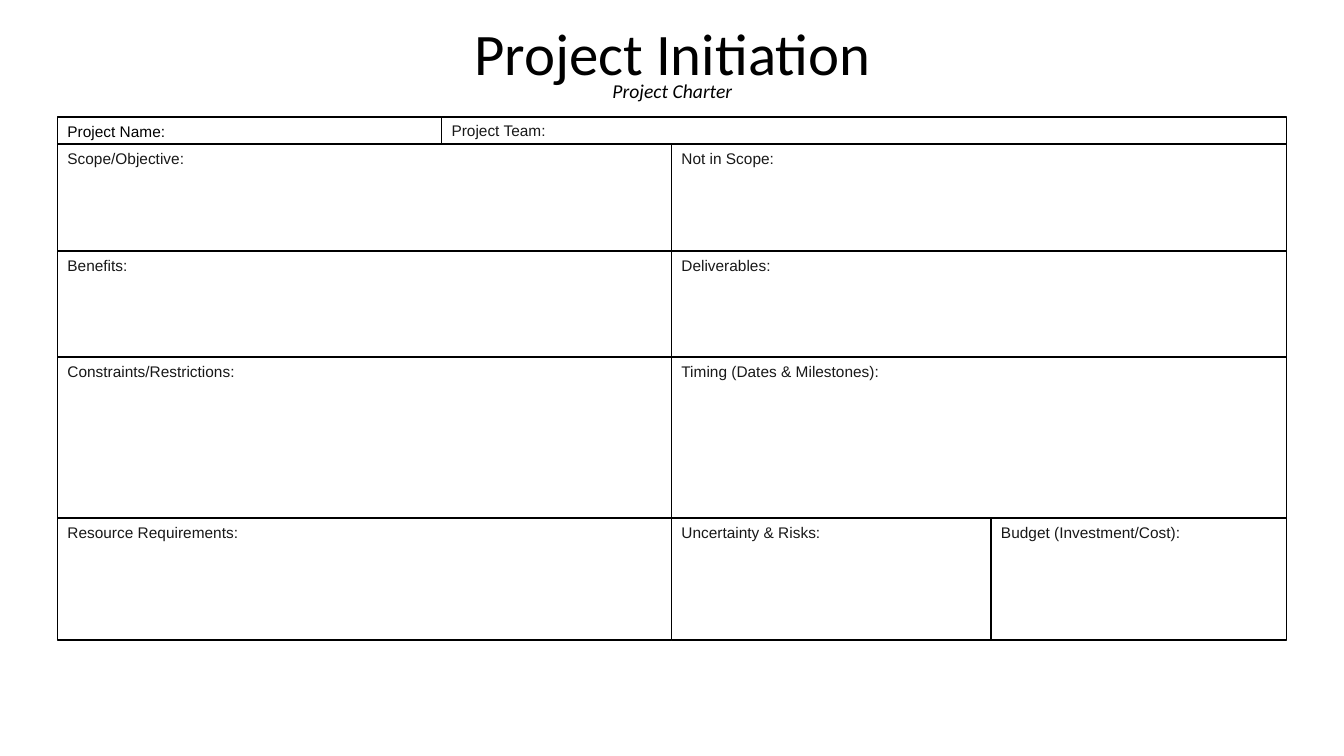
from pptx import Presentation
from pptx.dml.color import RGBColor
from pptx.enum.shapes import MSO_SHAPE
from pptx.enum.text import MSO_ANCHOR, MSO_AUTO_SIZE, PP_ALIGN
from pptx.util import Inches, Pt

COLORS = {"paper": "FFFFFF", "line": "000000", "heading": "000000", "label": "181818"}

LEFT, MIDDLE, RIGHT = 0.57, 6.66, 12.76
TEAM_LEFT, BUDGET_LEFT = 4.38, 9.83
ROW_TOPS = [1.16, 1.43, 2.49, 3.54, 5.14, 6.35]

CHARTER_ROWS = [
    [(LEFT, "Project Name:"), (TEAM_LEFT, "Project Team:")],
    [(LEFT, "Scope/Objective:"), (MIDDLE, "Not in Scope:")],
    [(LEFT, "Benefits:"), (MIDDLE, "Deliverables:")],
    [(LEFT, "Constraints/Restrictions:"), (MIDDLE, "Timing (Dates & Milestones):")],
    [(LEFT, "Resource Requirements:"), (MIDDLE, "Uncertainty & Risks:"),
     (BUDGET_LEFT, "Budget (Investment/Cost):")],
]


def rgb(name):
    return RGBColor.from_string(COLORS[name])


def add_run(p, text, font, size, color, italic=False):
    r = p.add_run()
    r.text = text
    r.font.name = font
    r.font.size = Pt(size)
    r.font.italic = italic
    r.font.color.rgb = rgb(color)


def set_title(s, title, subtitle):
    sp = s.shapes.title
    sp.left, sp.top = Inches(0.58), Inches(0.27)
    sp.width, sp.height = Inches(12.18), Inches(0.79)
    tf = sp.text_frame
    tf.auto_size = MSO_AUTO_SIZE.NONE
    tf.vertical_anchor = MSO_ANCHOR.BOTTOM
    p = tf.paragraphs[0]
    p.alignment = PP_ALIGN.CENTER
    p.line_spacing = 0.7
    add_run(p, title, "Calibri", 42, "heading")
    p.add_line_break()
    add_run(p, subtitle, "Calibri", 14, "heading", italic=True)


def add_box(s, left, top, right, bottom, label, color, anchor):
    sp = s.shapes.add_shape(MSO_SHAPE.RECTANGLE, Inches(left), Inches(top),
                            Inches(right - left), Inches(bottom - top))
    sp.shadow.inherit = False
    sp.fill.solid()
    sp.fill.fore_color.rgb = rgb("paper")
    sp.line.color.rgb = rgb("line")
    sp.line.width = Pt(1)
    tf = sp.text_frame
    tf.word_wrap = True
    tf.vertical_anchor = anchor
    p = tf.paragraphs[0]
    p.alignment = PP_ALIGN.LEFT
    add_run(p, label, "Arial", 11, color)


def add_charter(s):
    for row, top, bottom in zip(CHARTER_ROWS, ROW_TOPS, ROW_TOPS[1:]):
        rights = [left for left, _ in row[1:]] + [RIGHT]
        for (left, label), right in zip(row, rights):
            color = "heading" if label == "Project Name:" else "label"
            anchor = MSO_ANCHOR.MIDDLE if label == "Project Team:" else MSO_ANCHOR.TOP
            add_box(s, left, top, right, bottom, label, color, anchor)


def main():
    prs = Presentation()
    prs.slide_width, prs.slide_height = Inches(13.33), Inches(7.5)
    s = prs.slides.add_slide(prs.slide_layouts[5])
    set_title(s, "Project Initiation", "Project Charter")
    add_charter(s)
    prs.save("out.pptx")


if __name__ == "__main__":
    main()
